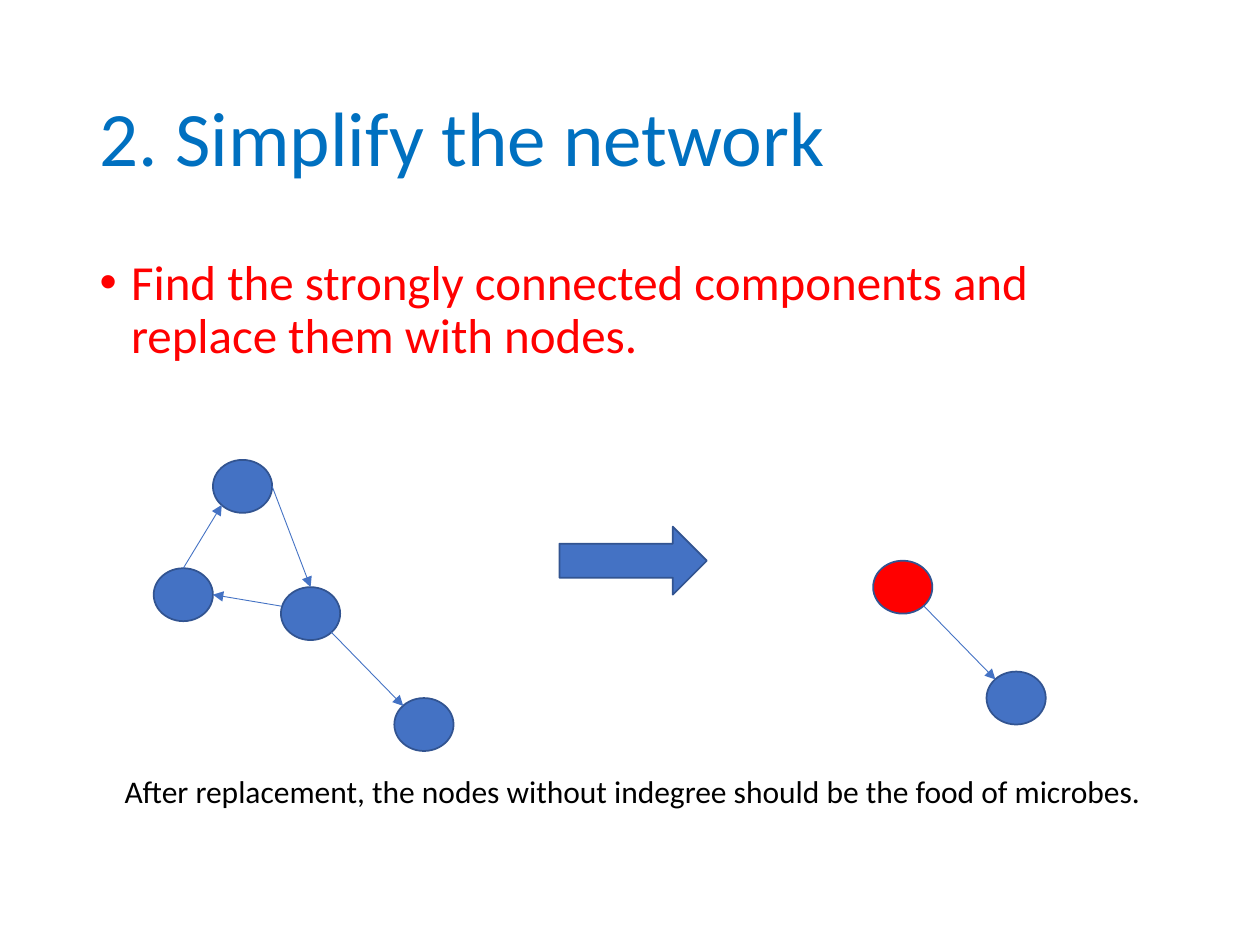
from lxml.etree import SubElement
from pptx import Presentation
from pptx.dml.color import RGBColor
from pptx.enum.shapes import MSO_CONNECTOR as Link, MSO_SHAPE as Preset
from pptx.enum.text import MSO_ANCHOR as Anchor, MSO_AUTO_SIZE as Fit, PP_ALIGN as Align
from pptx.oxml.ns import qn
from pptx.util import Inches, Pt

COLORS = {
    "heading": "0070C0",
    "highlight": "FF0000",
    "node": "4472C4",
    "outline": "325491",
    "caption": "000000",
}

deck = Presentation()
deck.slide_width, deck.slide_height = Inches(10), Inches(7.5)
col = deck.slide_width / 100
row = deck.slide_height / 75
slide = deck.slides.add_slide(deck.slide_layouts[1])


def grid(left, top, width, height):
    return [round(n * unit) for n, unit in zip((left, top, width, height), (col, row, col, row))]


def write(holder, text, size, color, anchor=Anchor.TOP, fit=Fit.NONE, spacing=1.0, before=0, bullet=None):
    frame = holder.text_frame
    frame.word_wrap = True
    frame.auto_size = fit
    frame.vertical_anchor = anchor
    paragraph = frame.paragraphs[0]
    paragraph.alignment = Align.LEFT
    paragraph.line_spacing = spacing
    paragraph.space_before = Pt(before)
    run = paragraph.add_run()
    run.text = text
    run.font.name = "Calibri"
    run.font.size = Pt(size)
    run.font.color.rgb = RGBColor.from_string(COLORS[color])
    if bullet:
        layout = paragraph._p.get_or_add_pPr()
        layout.set("marL", str(Inches(0.25)))
        layout.set("indent", str(-Inches(0.25)))
        SubElement(layout, qn("a:buFont"), typeface="Arial")
        SubElement(layout, qn("a:buChar"), char=bullet)


heading = slide.shapes.title
heading.left, heading.top, heading.width, heading.height = grid(6.9, 4, 86.2, 14.5)
write(heading, "2. Simplify the network", 44, "heading", anchor=Anchor.MIDDLE, spacing=0.9)

step = slide.placeholders[1]
step.left, step.top, step.width, step.height = grid(6.9, 20, 86.2, 9.9)
write(step, "Find the strongly connected components and replace them with nodes.", 28, "highlight",
      spacing=0.9, before=10, bullet="•")

node_width, node_height = 4.7, 4.2
nodes = {
    "top": (16.9, 36.5),
    "left": (12.2, 45.1),
    "right": (22.3, 46.6),
    "leaf": (31.3, 55.4),
    "merged": (69.3, 44.5),
    "merged leaf": (78.3, 53.3),
}
figures = [(Preset.OVAL, (*corner, node_width, node_height), "highlight" if name == "merged" else "node")
           for name, corner in nodes.items()]
figures.append((Preset.RIGHT_ARROW, (44.4, 41.8, 11.7, 5.4), "node"))
for preset, box, color in figures:
    figure = slide.shapes.add_shape(preset, *grid(*box))
    figure.shadow.inherit = False
    figure.fill.solid()
    figure.fill.fore_color.rgb = RGBColor.from_string(COLORS[color])
    figure.line.color.rgb = RGBColor.from_string(COLORS["outline"])
    figure.line.width = Pt(1)

rim = {
    "top": (0.5, 0),
    "left": (0, 0.5),
    "right": (1, 0.5),
    "upper left": (0.15, 0.15),
    "mid left": (0.01, 0.36),
    "lower left": (0.15, 0.85),
    "lower right": (0.85, 0.85),
}
edges = [
    ("left", "top", "top", "lower left"),
    ("top", "right", "right", "top"),
    ("right", "mid left", "left", "right"),
    ("right", "lower right", "leaf", "upper left"),
    ("merged", "lower right", "merged leaf", "upper left"),
]
for source, exit_side, target, entry_side in edges:
    ends = []
    for name, side in ((source, exit_side), (target, entry_side)):
        ends.append(round((nodes[name][0] + rim[side][0] * node_width) * col))
        ends.append(round((nodes[name][1] + rim[side][1] * node_height) * row))
    edge = slide.shapes.add_connector(Link.STRAIGHT, *ends)
    edge.line.color.rgb = RGBColor.from_string(COLORS["node"])
    edge.line.width = Pt(0.5)
    SubElement(edge.line._get_or_add_ln(), qn("a:tailEnd"), type="triangle")
    SubElement(edge._element.spPr, qn("a:effectLst"))

caption = slide.shapes.add_textbox(*grid(8.9, 60.8, 85.3, 4))
write(caption, "After replacement, the nodes without indegree should be the food of microbes.", 18, "caption",
      fit=Fit.SHAPE_TO_FIT_TEXT)

deck.save("out.pptx")
